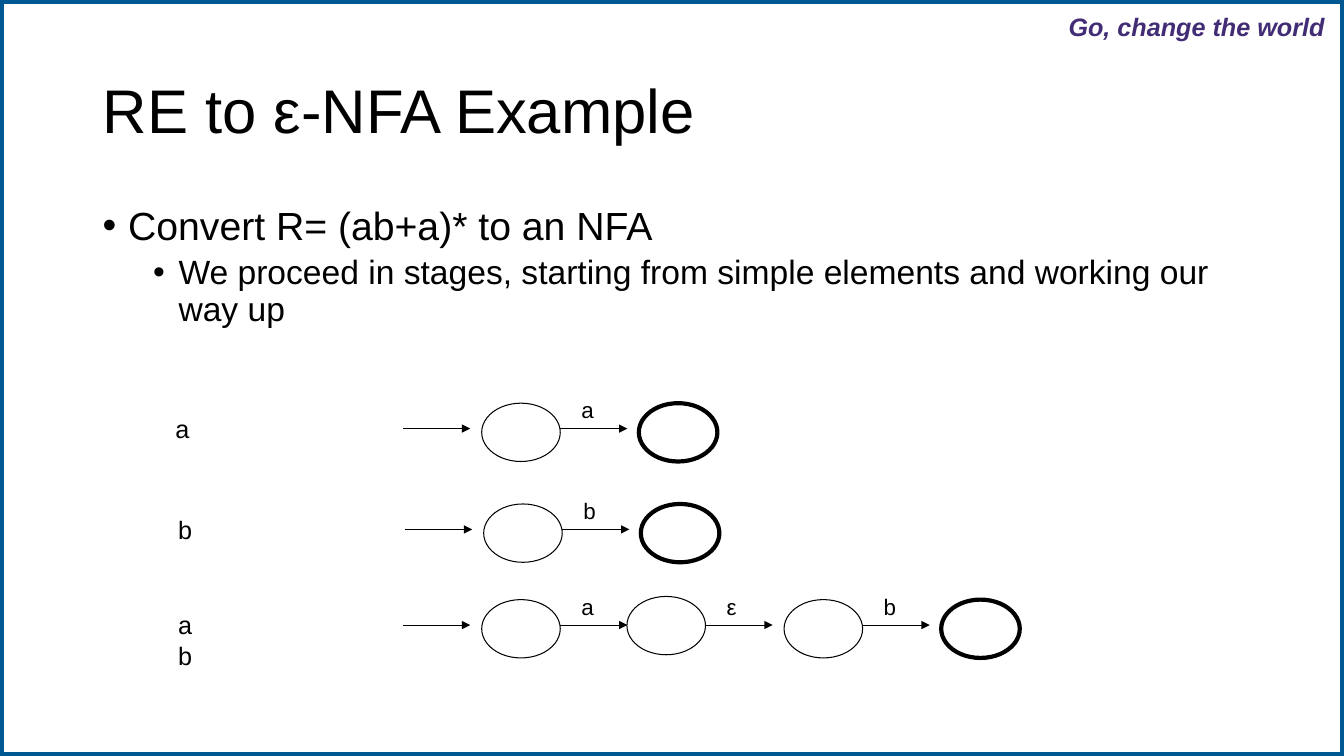
from pptx import Presentation
from pptx.dml.color import RGBColor
from pptx.enum.shapes import MSO_CONNECTOR as Connector, MSO_SHAPE as Shape
from pptx.enum.text import MSO_ANCHOR as Anchor, MSO_AUTO_SIZE as AutoSize
from pptx.oxml.ns import qn
from pptx.util import Cm, Pt
from lxml.etree import SubElement

COLORS = {"ink": "000000", "paper": "FFFFFF", "frame": "005893", "motto": "422C75"}
FONT = "Arial"
PAGE_WIDTH, PAGE_HEIGHT = 33.87, 19.05

MOTTO = "Go, change the world"
TITLE = "RE to ε-NFA Example"
BULLETS = [
    {"text": "Convert R= (ab+a)* to an NFA", "size": 28, "indent": 0.64, "before": 0},
    {"text": "We proceed in stages, starting from simple elements and working our way up",
     "size": 24, "indent": 1.91, "before": 5},
]
AUTOMATA = [
    {"name": "a", "name_left": 4.17, "name_width": 0.81, "left": 10.16, "arrow_y": 10.8,
     "states": [(1.98, 0), (5.94, 0)], "symbols": ["a"]},
    {"name": "b", "name_left": 4.24, "name_width": 0.86, "left": 10.21, "arrow_y": 13.34,
     "states": [(1.98, 0), (5.94, 0)], "symbols": ["b"]},
    {"name": "ab", "name_left": 4.24, "name_width": 1.17, "left": 10.16, "arrow_y": 15.75,
     "states": [(1.98, 0), (5.64, -0.08), (9.6, 0), (13.56, 0)],
     "symbols": ["a", "ε", "b"]},
]
STATE_WIDTH, STATE_HEIGHT, STATE_RISE = 1.98, 1.47, 0.64
ARROW_LENGTH = 1.69
SYMBOL_SHIFT, SYMBOL_WIDTH, SYMBOL_HEIGHT = 0.28, 0.8, 0.94
NAME_RISE, NAME_HEIGHT = 0.51, 1.02
HANGING = 0.64


def color(name):
    return RGBColor.from_string(COLORS[name])


def set_all(target, values):
    for key, value in values.items():
        setattr(target, key, value)


def add_box(page, left, top, width, height, **options):
    box = page.shapes.add_textbox(Cm(left), Cm(top), Cm(width), Cm(height))
    frame = box.text_frame
    set_all(frame, {"word_wrap": True, "auto_size": AutoSize.NONE, **options})
    return frame


def write(para, text, size, ink="ink", **options):
    span = para.add_run()
    span.text = text
    set_all(span.font, {"name": FONT, "size": Pt(size), **options})
    span.font.color.rgb = color(ink)


def add_bullet(para, indent):
    properties = para._p.get_or_add_pPr()
    properties.set("marL", str(Cm(indent)))
    properties.set("indent", str(-Cm(HANGING)))
    bullet_color = SubElement(properties, qn("a:buClr"))
    SubElement(bullet_color, qn("a:srgbClr")).set("val", COLORS["ink"])
    SubElement(properties, qn("a:buFont")).set("typeface", FONT)
    SubElement(properties, qn("a:buChar")).set("char", "•")


def add_state(page, left, top, accepting):
    state = page.shapes.add_shape(
        Shape.OVAL, Cm(left), Cm(top), Cm(STATE_WIDTH), Cm(STATE_HEIGHT))
    state.shadow.inherit = False
    state.fill.background()
    state.line.color.rgb = color("ink")
    state.line.width = Pt(3 if accepting else 0.75)


def add_arrow(page, left, y):
    arrow = page.shapes.add_connector(
        Connector.STRAIGHT, Cm(left), Cm(y), Cm(left + ARROW_LENGTH), Cm(y))
    arrow.line.color.rgb = color("ink")
    arrow.line.width = Pt(0.75)
    SubElement(arrow.line._get_or_add_ln(), qn("a:tailEnd")).set("type", "triangle")
    SubElement(arrow._element.spPr, qn("a:effectLst"))


def add_automaton(page, name, name_left, name_width, left, arrow_y, states, symbols):
    label = add_box(page, name_left, arrow_y - NAME_RISE, name_width, NAME_HEIGHT)
    write(label.paragraphs[0], name, 18)
    add_arrow(page, left, arrow_y)
    for number, (offset, shift) in enumerate(states):
        accepting = number == len(states) - 1
        add_state(page, left + offset, arrow_y - STATE_RISE + shift, accepting)
    for (offset, shift), symbol in zip(states, symbols):
        start = left + offset + STATE_WIDTH
        add_arrow(page, start, arrow_y)
        label = add_box(page, start + SYMBOL_SHIFT, arrow_y - SYMBOL_HEIGHT,
                        SYMBOL_WIDTH, SYMBOL_HEIGHT)
        write(label.paragraphs[0], symbol, 16)


def main():
    deck = Presentation()
    deck.slide_width, deck.slide_height = Cm(PAGE_WIDTH), Cm(PAGE_HEIGHT)
    page = deck.slides.add_slide(deck.slide_layouts[6])

    border = page.shapes.add_shape(Shape.RECTANGLE, 0, 0, deck.slide_width, deck.slide_height)
    border.shadow.inherit = False
    border.fill.solid()
    border.fill.fore_color.rgb = color("paper")
    border.line.color.rgb = color("frame")
    border.line.width = Pt(6)

    motto = add_box(page, 26.9, 0.25, 6.93, 0.81, word_wrap=False, margin_left=Cm(0.03),
                    margin_top=Cm(0.03), margin_right=0, margin_bottom=0)
    write(motto.paragraphs[0], MOTTO, 18, "motto", bold=True, italic=True)

    title = add_box(page, 2.34, 1.02, 29.21, 3.68, vertical_anchor=Anchor.MIDDLE)
    title.paragraphs[0].line_spacing = 0.9
    write(title.paragraphs[0], TITLE, 44)

    body = add_box(page, 2.34, 5.08, 29.21, 12.09)
    for number, bullet in enumerate(BULLETS):
        para = body.add_paragraph() if number else body.paragraphs[0]
        add_bullet(para, bullet["indent"])
        para.line_spacing = 0.9
        if bullet["before"]:
            para.space_before = Pt(bullet["before"])
            para.level = 1
        write(para, bullet["text"], bullet["size"])

    for automaton in AUTOMATA:
        add_automaton(page, **automaton)

    deck.save("out.pptx")


if __name__ == "__main__":
    main()
